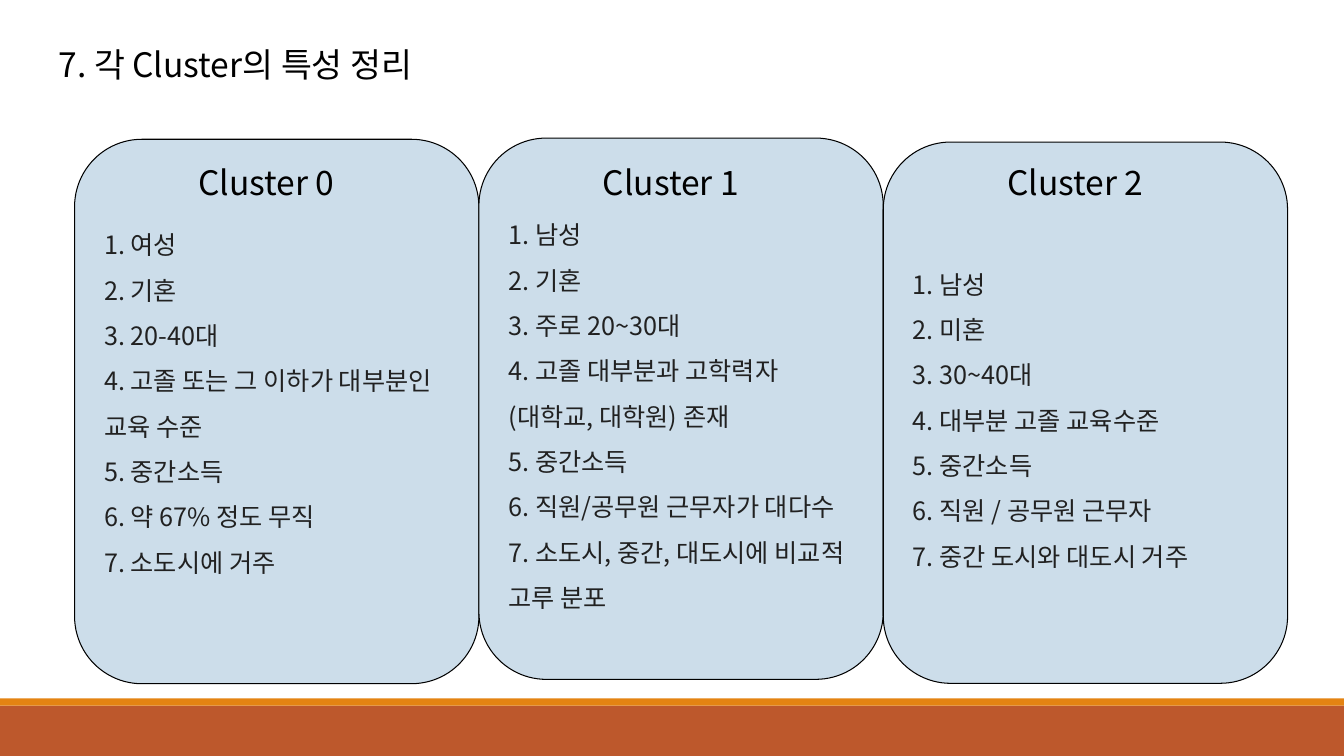
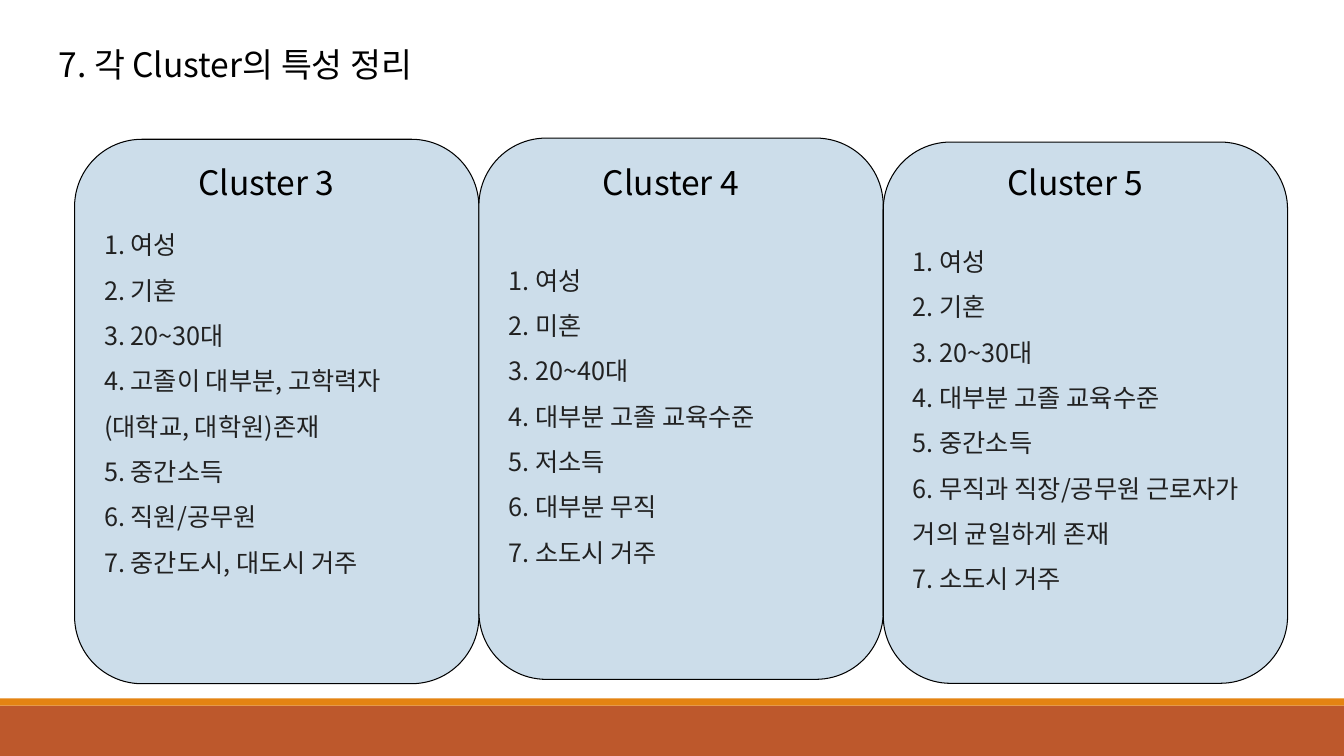
from dataclasses import dataclass

from lxml.etree import SubElement
from pptx import Presentation
from pptx.dml.color import RGBColor
from pptx.enum.shapes import MSO_SHAPE as Shape
from pptx.enum.text import MSO_ANCHOR as Anchor, MSO_AUTO_SIZE as AutoSize, PP_ALIGN as Align
from pptx.oxml.ns import qn
from pptx.util import Cm, Pt


@dataclass(frozen=True)
class Theme:
    font: str = "Noto Sans CJK KR"
    heading_size: int = 24
    list_size: int = 18
    heading: str = "000000"
    text: str = "212121"
    card: str = "CCDDEA"
    outline: str = "000000"
    band: str = "BD582C"
    stripe: str = "E48312"


theme = Theme()

TITLE = "7. 각 Cluster의 특성 정리"
SLIDES = [
    [
        ("Cluster 0", ["여성", "기혼", "20-40대", "고졸 또는 그 이하가 대부분인 교육 수준",
                       "중간소득", "약 67% 정도 무직", "소도시에 거주"]),
        ("Cluster 1", ["남성", "기혼", "주로 20~30대", "고졸 대부분과 고학력자(대학교, 대학원) 존재",
                       "중간소득", "직원/공무원 근무자가 대다수", "소도시, 중간, 대도시에 비교적 고루 분포"]),
        ("Cluster 2", ["남성", "미혼", "30~40대", "대부분 고졸 교육수준",
                       "중간소득", "직원 / 공무원 근무자", "중간 도시와 대도시 거주"]),
    ],
    [
        ("Cluster 3", ["여성", "기혼", "20~30대", "고졸이 대부분, 고학력자(대학교, 대학원)존재",
                       "중간소득", "직원/공무원", "중간도시, 대도시 거주"]),
        ("Cluster 4", ["여성", "미혼", "20~40대", "대부분 고졸 교육수준",
                       "저소득", "대부분 무직", "소도시 거주"]),
        ("Cluster 5", ["여성", "기혼", "20~30대", "대부분 고졸 교육수준",
                       "중간소득", "무직과 직장/공무원 근로자가 거의 균일하게 존재", "소도시 거주"]),
    ],
]

# Card row: common left edge and width, then top, height and bottom inset of each card
CARD_LEFT, CARD_WIDTH = 1.88, 10.19
CARD_ROWS = [(3.51, 13.72, 0.91), (3.48, 13.64, 0.13), (3.58, 13.64, 0.13)]
HEADING_OFFSET, HEADING_TOP = 2.87, 3.96


def write(paragraph, text, size=theme.heading_size, color=theme.heading,
          numbered=False, spacing=None):
    """Fill a paragraph with one formatted run, optionally as a numbered item."""
    paragraph.alignment = Align.LEFT
    paragraph.line_spacing = spacing
    if numbered:
        properties = paragraph._p.get_or_add_pPr()
        properties.set("marL", "0")
        properties.set("indent", "0")
        SubElement(properties, qn("a:buAutoNum"), type="arabicPeriod")
        text = " " + text
    run = paragraph.add_run()
    run.text = text
    run.font.size = Pt(size)
    run.font.name = theme.font
    run.font.color.rgb = RGBColor.from_string(color)
    SubElement(run.font._element, qn("a:ea"), typeface=theme.font)


def add_panel(slide, kind, box, fill, outline=None):
    """Add a flat filled shape; box holds left, top, width, height in cm."""
    shape = slide.shapes.add_shape(kind, *map(Cm, box))
    shape.shadow.inherit = False
    shape.fill.solid()
    shape.fill.fore_color.rgb = RGBColor.from_string(fill)
    if outline:
        shape.line.color.rgb = RGBColor.from_string(outline)
        shape.line.width = Pt(0.75)
    else:
        shape.line.fill.background()
    return shape


presentation = Presentation()
presentation.slide_width, presentation.slide_height = Cm(33.87), Cm(19.05)
layout = presentation.slide_layouts.get_by_name("Title Only")

# Shared title position
title = layout.placeholders[0]
title.left, title.top, title.width, title.height = map(Cm, (1.22, 0.99, 27.15, 1.27))
title.text_frame.vertical_anchor = Anchor.TOP
title.text_frame.auto_size = AutoSize.NONE

slides = [presentation.slides.add_slide(layout) for _ in SLIDES]

# Shared footer bands, moved to the slide master
bands = [((0, 17.78, 33.87, 1.27), theme.band), ((0, 17.6, 33.87, 0.18), theme.stripe)]
for number, (box, color) in enumerate(bands, start=100):
    band = add_panel(slides[0], Shape.RECTANGLE, box, color)
    band.element.nvSpPr.cNvPr.set("id", str(number))
    presentation.slide_master.shapes.element.append(band.element)

for slide, clusters in zip(slides, SLIDES):
    write(slide.shapes.title.text_frame.paragraphs[0], TITLE)

    for column, (name, traits) in enumerate(clusters):
        left = CARD_LEFT + column * CARD_WIDTH
        top, height, bottom_inset = CARD_ROWS[column]

        # Card with its numbered traits
        card = add_panel(slide, Shape.ROUNDED_RECTANGLE, (left, top, CARD_WIDTH, height),
                         theme.card, theme.outline)
        frame = card.text_frame
        frame.word_wrap = True
        frame.vertical_anchor = Anchor.MIDDLE
        frame.margin_bottom = Cm(bottom_inset)
        for index, trait in enumerate(traits):
            paragraph = frame.add_paragraph() if index else frame.paragraphs[0]
            write(paragraph, trait, size=theme.list_size, color=theme.text,
                  numbered=True, spacing=1.5)

        # Cluster name
        heading = slide.shapes.add_textbox(Cm(left + HEADING_OFFSET), Cm(HEADING_TOP),
                                           Cm(4.52), Cm(1.27))
        heading.text_frame.word_wrap = True
        write(heading.text_frame.paragraphs[0], name)

presentation.save("out.pptx")
